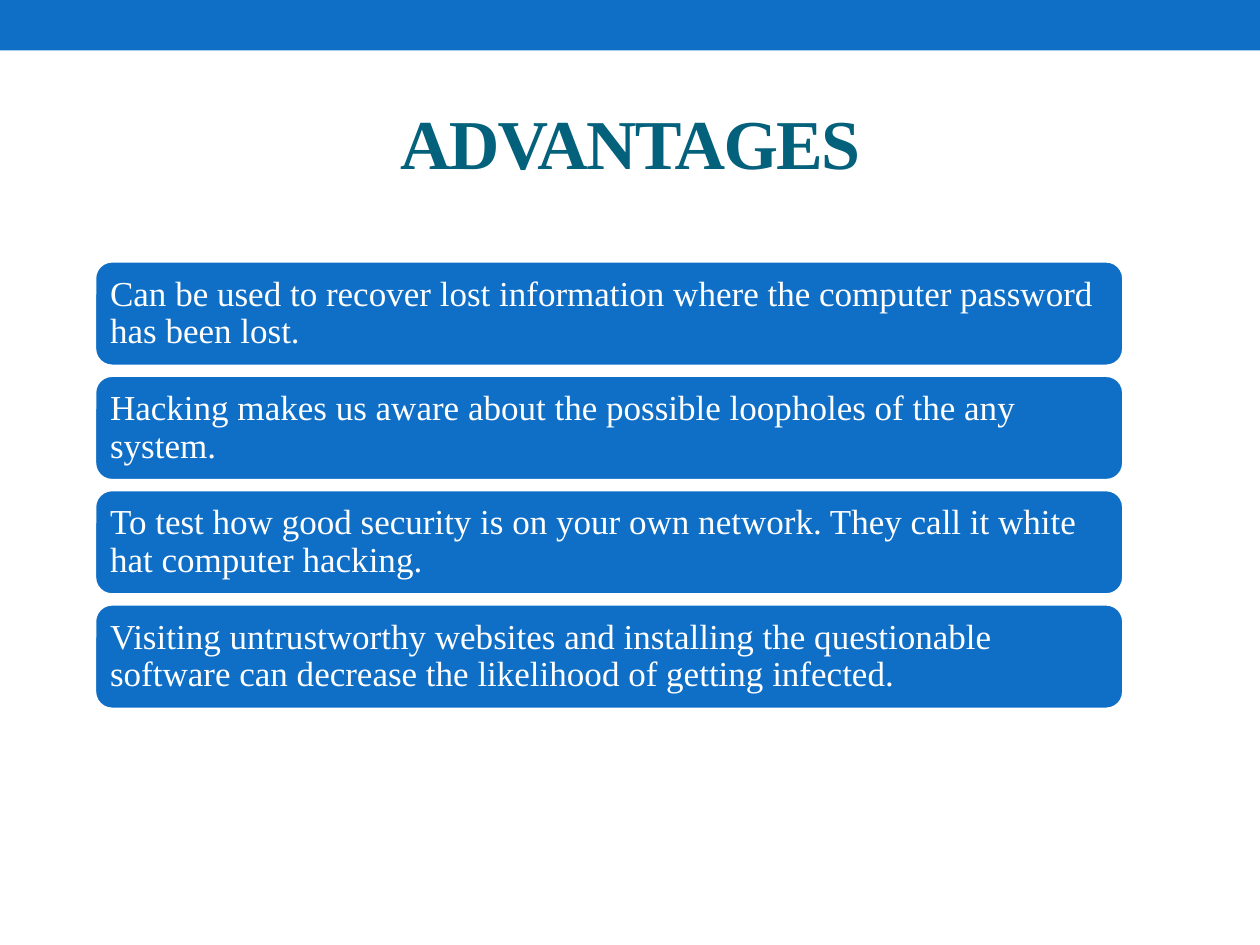
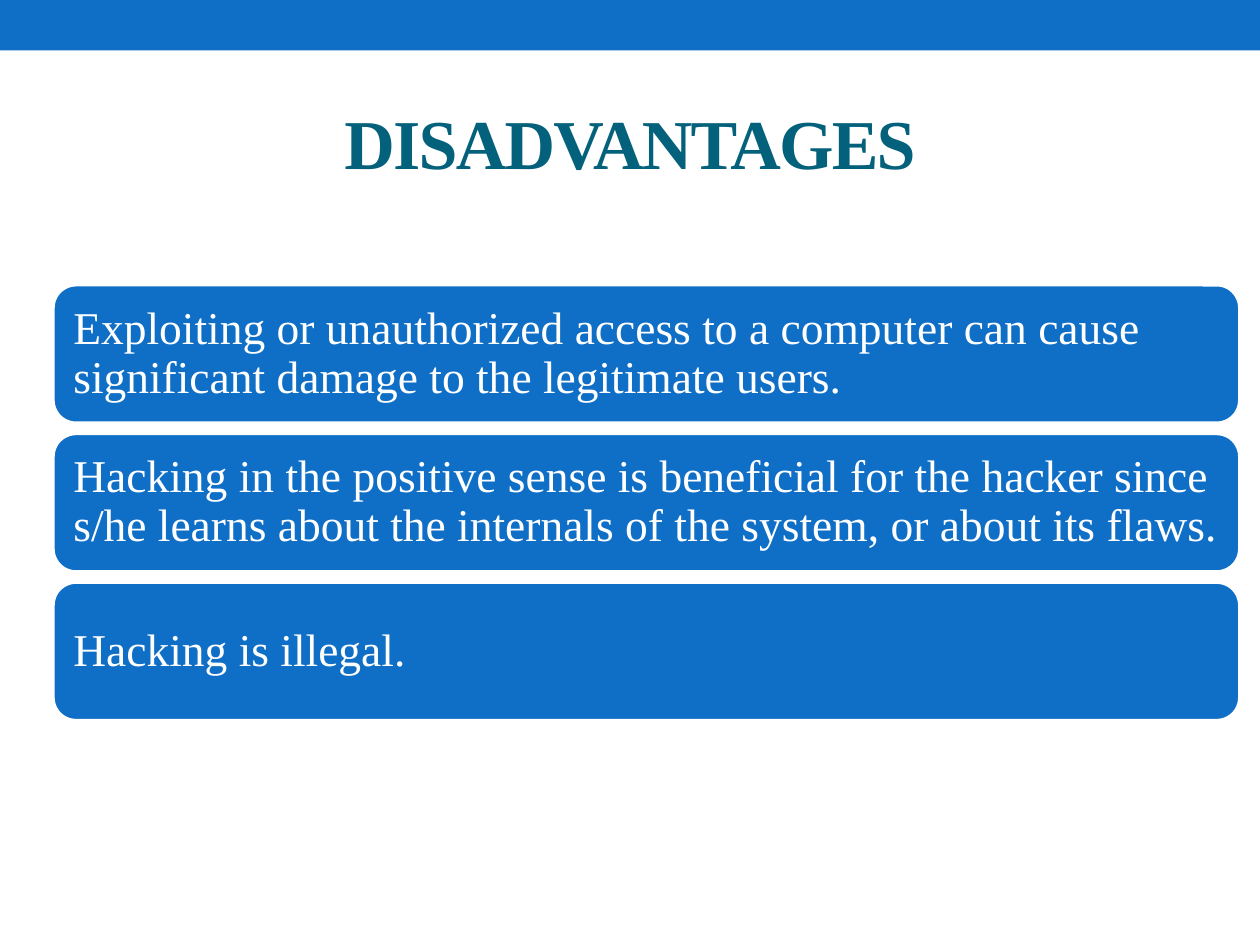
from dataclasses import dataclass

from pptx import Presentation
from pptx import util as u
from pptx.dml import color
from pptx.enum import shapes, text


@dataclass(frozen=True)
class Theme:
    blue: str = "0F6FC6"
    teal: str = "04617B"
    white: str = "FFFFFF"
    face: str = "Times New Roman"
    title: int = 40
    edge: float = 2.08


LOOK = Theme()
BAND = (0, 0, 10, 0.4)
HEAD = (0.5, 0.58, 9, 1.08)

# title, box of the cards, gap, type size, card wording
PAGES = [
    ("ADVANTAGES", (0.75, 2.07, 8.17, 3.56), 0.07, 20, [
        "Can be used to recover lost information where the computer password "
        "has been lost.",
        "Hacking makes us aware about the possible loopholes of the any system.",
        "To test how good security is on your own network. They call it white "
        "hat computer hacking.",
        "Visiting untrustworthy websites and installing the questionable "
        "software can decrease the likelihood of getting infected.",
    ]),
    ("DISADVANTAGES", (0.42, 2.26, 9.42, 3.46), 0.08, 26, [
        "Exploiting or unauthorized access to a computer can cause "
        "significant damage to the legitimate users.",
        "Hacking in the positive sense is beneficial for the hacker since "
        "s/he learns about the internals of the system, or about its flaws.",
        "Hacking is illegal.",
    ]),
]


def place(box):
    return [u.Inches(n) for n in box]


def put(item, **vals):
    for key, val in vals.items():
        setattr(item, key, val)


def write(shape, words, size, tint, align, bold=False):
    """Fill a shape with one vertically centred paragraph."""
    put(shape.text_frame, word_wrap=True,
        vertical_anchor=text.MSO_ANCHOR.MIDDLE)
    para = shape.text_frame.paragraphs[0]
    para.alignment = align
    run = para.add_run()
    run.text = words
    put(run.font, name=LOOK.face, size=u.Pt(size), bold=bold)
    run.font.color.rgb = color.RGBColor.from_string(tint)
    return para, run


def block(slide, kind, box):
    """Add a blue shape without outline or shadow."""
    shape = slide.shapes.add_shape(kind, *place(box))
    shape.shadow.inherit = False
    shape.fill.solid()
    shape.fill.fore_color.rgb = color.RGBColor.from_string(LOOK.blue)
    shape.line.fill.background()
    return shape


def head(slide, box, words):
    """Title in tightly spaced bold capitals."""
    shape = slide.shapes.add_textbox(*place(box))
    _, run = write(shape, words, LOOK.title, LOOK.teal,
                   text.PP_ALIGN.CENTER, True)
    run.font._element.set("spc", "-100")


def card(slide, box, words, size):
    """Rounded card whose margins grow with its type size."""
    shape = block(slide, shapes.MSO_SHAPE.ROUNDED_RECTANGLE, box)
    shape.line.color.rgb = color.RGBColor.from_string(LOOK.white)
    shape.line.width = u.Pt(LOOK.edge)
    sides = ("left", "top", "right", "bottom")
    put(shape.text_frame,
        **{f"margin_{side}": u.Pt(0.3 * size) for side in sides})
    para, _ = write(shape, words, size, LOOK.white, text.PP_ALIGN.LEFT)
    para.line_spacing = 0.9


def stack(slide, box, gap, size, lines):
    """Equal cards that share the height of the box."""
    left, top, wide, high = box
    tall = (high - gap * (len(lines) - 1)) / len(lines)
    for row, words in enumerate(lines):
        card(slide, (left, top + row * (tall + gap), wide, tall), words, size)


def main():
    deck = Presentation()
    put(deck, slide_width=u.Inches(10), slide_height=u.Inches(7.5))
    for title, box, gap, size, lines in PAGES:
        slide = deck.slides.add_slide(deck.slide_layouts[6])
        # Shared top band and title, then the cards
        block(slide, shapes.MSO_SHAPE.RECTANGLE, BAND)
        head(slide, HEAD, title)
        stack(slide, box, gap, size, lines)
    deck.save("out.pptx")


if __name__ == "__main__":
    main()
